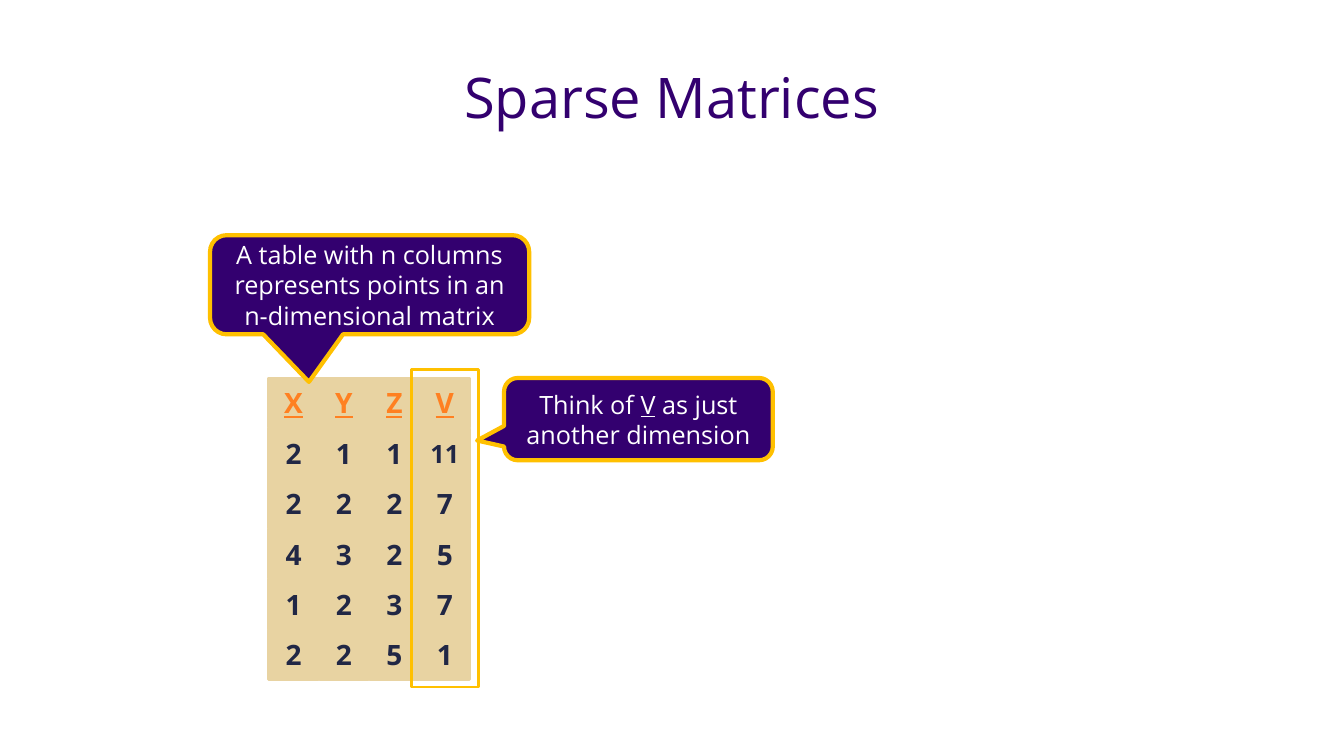
from dataclasses import dataclass, field

from pptx import Presentation
from pptx.dml.color import RGBColor
from pptx.enum.shapes import MSO_SHAPE as Preset
from pptx.enum.text import MSO_ANCHOR as Anchor, PP_ALIGN as Align
from pptx.shapes.autoshape import Shape
from pptx.slide import Slide
from pptx.util import Inches, Pt

# The slide is a grid of 160 columns by 90 rows
COLUMNS, ROWS = 160, 90
WIDTH, HEIGHT = Inches(13.333), Inches(7.5)


@dataclass(frozen=True)
class Theme:
    font: str = "Open Sans"
    purple: str = "33006F"
    gold: str = "FFC000"
    sand: str = "E8D3A2"
    orange: str = "FF8021"
    navy: str = "212745"
    white: str = "FFFFFF"
    title_size: int = 40
    cell_size: int = 20
    small_size: int = 18
    thin: int = 2
    thick: int = 3


THEME = Theme()


@dataclass(frozen=True)
class Area:
    column: float
    row: float
    columns: float
    rows: float

    def emu(self) -> tuple[int, int, int, int]:
        across, down = WIDTH / COLUMNS, HEIGHT / ROWS
        return (round(self.column * across), round(self.row * down),
                round(self.columns * across), round(self.rows * down))


@dataclass(frozen=True)
class Run:
    text: str
    format: dict = field(default_factory=dict)


@dataclass(frozen=True)
class Callout:
    area: Area
    pointer: tuple[float, float]
    runs: list[Run]


# Content
TITLE = "Sparse Matrices"
HEADINGS = "XYZV"
POINTS = [(2, 1, 1, 11), (2, 2, 2, 7), (4, 3, 2, 5), (1, 2, 3, 7), (2, 2, 5, 1)]
TABLE_LEFT, TABLE_TOP, PITCH, CELL = 32, 45, 6, 5.9
VALUE_FRAME = Area(49, 44, 8, 37.8)
CALLOUTS = [
    Callout(Area(60, 45, 32, 9.8), (-0.6, 0.26),
            [Run("Think of "), Run("V", {"underline": True}), Run(" as just another dimension")]),
    Callout(Area(25, 28, 38, 11.8), (-0.19, 0.98),
            [Run("A table with n columns represents points in an n-dimensional matrix")]),
]


def write(shape: Shape, runs: list[Run], color: str, size: int, **common: bool) -> None:
    """Fill the shape with one centred paragraph."""
    frame = shape.text_frame
    frame.word_wrap = True
    frame.vertical_anchor = Anchor.MIDDLE
    paragraph = frame.paragraphs[0]
    paragraph.alignment = Align.CENTER
    for part in runs:
        run = paragraph.add_run()
        run.text = part.text
        run.font.color.rgb = RGBColor.from_string(color)
        formats = {"name": THEME.font, "size": Pt(size), **common, **part.format}
        for attribute, value in formats.items():
            setattr(run.font, attribute, value)


def draw(slide: Slide, preset: Preset, area: Area, fill: str | None, line: str, weight: int) -> Shape:
    shape = slide.shapes.add_shape(preset, *area.emu())
    shape.shadow.inherit = False
    if fill:
        shape.fill.solid()
        shape.fill.fore_color.rgb = RGBColor.from_string(fill)
    else:
        shape.fill.background()
    shape.line.color.rgb = RGBColor.from_string(line)
    shape.line.width = Pt(weight)
    return shape


def draw_cell(slide: Slide, column: int, row: int, text: str) -> None:
    area = Area(TABLE_LEFT + column * PITCH, TABLE_TOP + row * PITCH, CELL, CELL)
    cell = draw(slide, Preset.RECTANGLE, area, THEME.sand, THEME.sand, THEME.thin)
    for side in ("margin_left", "margin_right"):
        setattr(cell.text_frame, side, 0)
    heading = row == 0
    write(cell, [Run(text)], THEME.orange if heading else THEME.navy,
          THEME.small_size if len(text) > 1 else THEME.cell_size,
          bold=True, underline=heading)


def draw_callout(slide: Slide, callout: Callout) -> None:
    bubble = draw(slide, Preset.ROUNDED_RECTANGULAR_CALLOUT, callout.area,
                  THEME.purple, THEME.gold, THEME.thick)
    for index, share in enumerate((*callout.pointer, 0.167)):
        bubble.adjustments[index] = share
    write(bubble, callout.runs, THEME.white, THEME.small_size)


def main() -> None:
    deck = Presentation()
    deck.slide_width, deck.slide_height = WIDTH, HEIGHT
    slide = deck.slides.add_slide(deck.slide_layouts[6])

    # Title
    title = slide.shapes.add_textbox(*Area(5.6, 3.7, 148.7, 15.5).emu())
    write(title, [Run(TITLE)], THEME.purple, THEME.title_size)

    # Table of points
    for row, values in enumerate([HEADINGS, *POINTS]):
        for column, value in enumerate(values):
            draw_cell(slide, column, row, str(value))

    # Frame around the value column, and the callouts
    draw(slide, Preset.RECTANGLE, VALUE_FRAME, None, THEME.gold, THEME.thin)
    for callout in CALLOUTS:
        draw_callout(slide, callout)

    deck.save("out.pptx")


if __name__ == "__main__":
    main()
